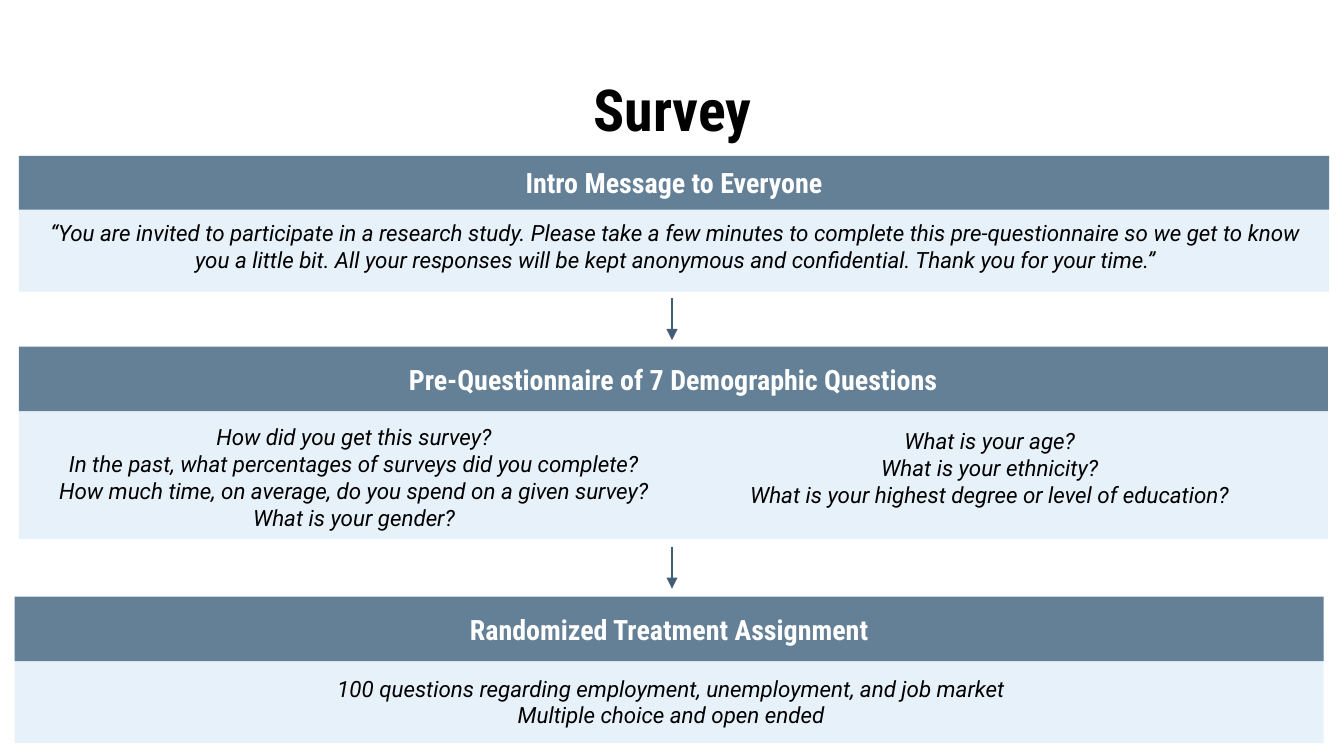
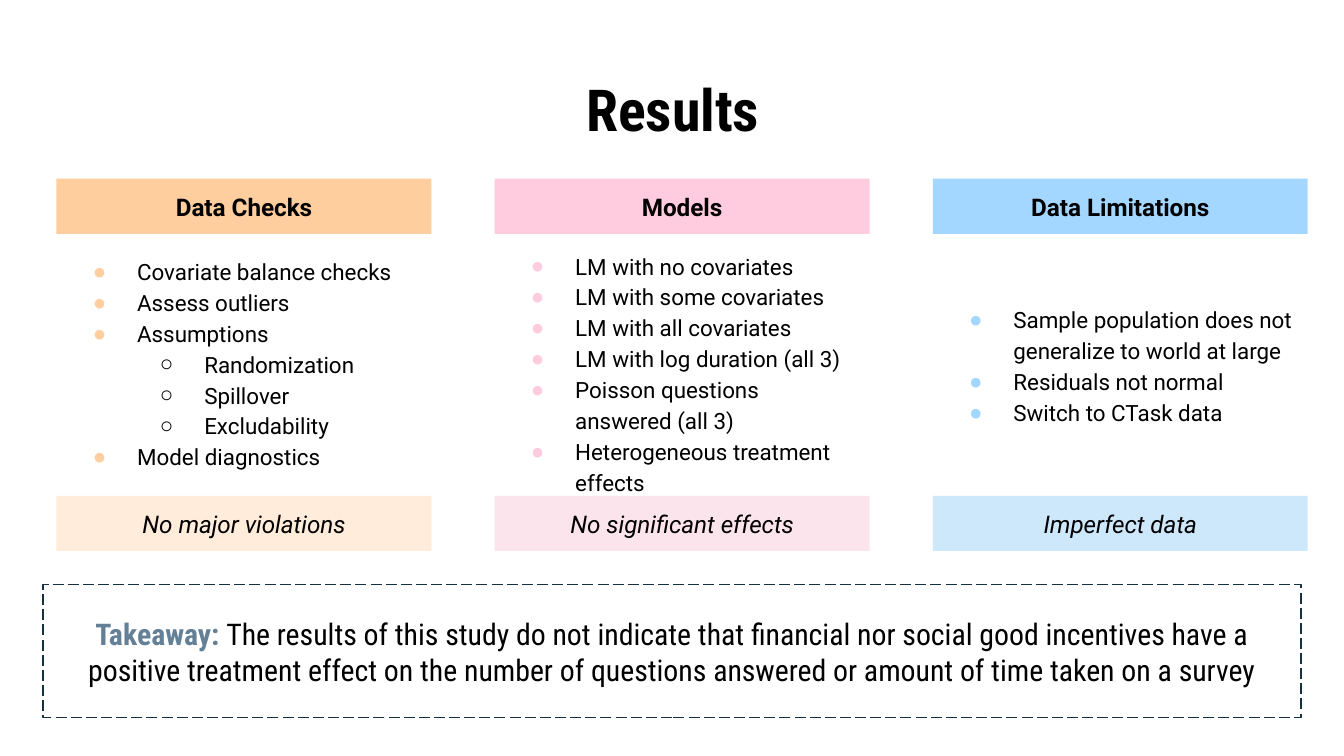
from dataclasses import dataclass
from typing import NamedTuple

from lxml import etree
from pptx import Presentation
from pptx.dml.color import RGBColor
from pptx.enum.dml import MSO_LINE
from pptx.enum.shapes import MSO_CONNECTOR, MSO_SHAPE
from pptx.enum.text import MSO_ANCHOR, MSO_AUTO_SIZE, PP_ALIGN
from pptx.oxml.ns import qn
from pptx.util import Inches, Pt

CENTER, LEFT = PP_ALIGN.CENTER, PP_ALIGN.LEFT
TOP, MIDDLE = MSO_ANCHOR.TOP, MSO_ANCHOR.MIDDLE
NO_FIT = MSO_AUTO_SIZE.NONE
RECT = MSO_SHAPE.RECTANGLE
STRAIGHT = MSO_CONNECTOR.STRAIGHT
LONG_DASH = MSO_LINE.LONG_DASH

WIDTH = Inches(10)
HEIGHT = WIDTH * 9 // 16
TITLE_ONLY, COMPARE = 5, 4
SANS, NARROW = "Roboto", "Roboto Condensed"
BLACK, WHITE = "000000", "FFFFFF"
STEEL, PALE, SLATE, NAVY = "638097", "E7F1F9", "435D74", "153041"
INSET = Inches(0.1)
HANG = 0.33


class Box(NamedTuple):
    left: float
    top: float
    width: float
    height: float


class Note(NamedTuple):
    box: Box
    lines: list[str]


@dataclass
class Step:
    head: str
    band: Box
    panel: Box
    notes: list[Note]


class Item(NamedTuple):
    text: str
    level: int = 0


@dataclass
class Column:
    head: str
    color: str
    tint: str
    verdict: str
    top: float
    height: float
    items: list[Item]


STEPS = [
    Step("Intro Message to Everyone", Box(0.14, 1.16, 9.75, 0.4), Box(0.14, 1.16, 9.75, 1.01), [
        Note(Box(0.22, 1.53, 9.62, 0.61), [
            "“You are invited to participate in a research study. Please take a few minutes "
            "to complete this pre-questionnaire so we get to know you a little bit. All your "
            "responses will be kept anonymous and confidential. Thank you for your time.”"]),
    ]),
    Step("Pre-Questionnaire of 7 Demographic Questions",
         Box(0.14, 2.58, 9.74, 0.48), Box(0.14, 3, 9.74, 1.01), [
             Note(Box(0.27, 3.05, 4.73, 1.01), [
                 "How did you get this survey?",
                 "In the past, what percentages of surveys did you complete?",
                 "How much time, on average, do you spend on a given survey?",
                 "What is your gender?"]),
             Note(Box(5, 3.08, 4.73, 0.81), [
                 "What is your age?",
                 "What is your ethnicity?",
                 "What is your highest degree or level of education?"]),
         ]),
    Step("Randomized Treatment Assignment",
         Box(0.11, 4.44, 9.74, 0.48), Box(0.11, 4.72, 9.74, 0.81), [
             Note(Box(0.27, 4.92, 9.45, 0.61), [
                 "100 questions regarding employment, unemployment, and job market",
                 "Multiple choice and open ended"]),
         ]),
]
ARROW_TOPS, ARROW_LENGTH = (2.22, 4.07), 0.31

COLUMNS = [
    Column("Data Checks", "FFCE9E", "FFECDA", "No major violations", 1.79, 1.84, [
        Item("Covariate balance checks"), Item("Assess outliers"), Item("Assumptions"),
        Item("Randomization", 1), Item("Spillover", 1), Item("Excludability", 1),
        Item("Model diagnostics")]),
    Column("Models", "FFCBDE", "FCE4ED", "No significant effects", 1.75, 1.9, [
        Item("LM with no covariates"), Item("LM with some covariates"),
        Item("LM with all covariates"), Item("LM with log duration (all 3)"),
        Item("Poisson questions answered (all 3)"),
        Item("Heterogeneous treatment effects")]),
    Column("Data Limitations", "A3D7FF", "CDE7FB", "Imperfect data", 2.15, 1.09, [
        Item("Sample population does not generalize to world at large"),
        Item("Residuals not normal"), Item("Switch to CTask data")]),
]
COL_LEFT, COL_STEP, COL_WIDTH = 0.42, 3.26, 2.79
HEAD_TOP, VERDICT_TOP, LABEL_HEIGHT = 1.33, 3.69, 0.41


def rgb(code: str) -> RGBColor:
    return RGBColor.from_string(code)


def place(shape, box: Box) -> None:
    shape.left, shape.top, shape.width, shape.height = map(Inches, box)


def add_run(para, text: str, *, size=12, font=SANS, color=BLACK, bold=False, italic=False) -> None:
    run = para.add_run()
    run.text = text
    run.font.size, run.font.name = Pt(size), font
    run.font.bold, run.font.italic = bold, italic
    run.font.color.rgb = rgb(color)


def write(shape, lines: list[str], *, align=CENTER, anchor=TOP, spacing=1.0, **style) -> list:
    """Set one paragraph per line and return the paragraphs."""
    frame = shape.text_frame
    frame.word_wrap, frame.auto_size = True, NO_FIT
    frame.vertical_anchor = anchor
    frame.margin_left = frame.margin_right = INSET
    frame.margin_top = frame.margin_bottom = INSET
    paras = [frame.paragraphs[0]] + [frame.add_paragraph() for _ in lines[1:]]
    for para, line in zip(paras, lines):
        para.alignment, para.line_spacing = align, spacing
        para.space_before = para.space_after = Pt(0)
        if line:
            add_run(para, line, **style)
    return paras


def add_rect(slide, box: Box, fill: str | None = None):
    shape = slide.shapes.add_shape(RECT, *map(Inches, box))
    shape.shadow.inherit = False
    shape.line.fill.background()
    if fill:
        shape.fill.solid()
        shape.fill.fore_color.rgb = rgb(fill)
    else:
        shape.fill.background()
    return shape


def add_arrow(slide, x: float, top: float, length: float) -> None:
    arrow = slide.shapes.add_connector(
        STRAIGHT, Inches(x), Inches(top), Inches(x), Inches(top + length))
    arrow.line.color.rgb = rgb(SLATE)
    arrow.line.width = Pt(0.75)
    etree.SubElement(arrow.line._get_or_add_ln(), qn("a:tailEnd"), type="triangle")
    etree.SubElement(arrow._element.spPr, qn("a:effectLst"))


def add_bullet(para, level: int, color: str) -> None:
    para.level = level
    props = para._p.get_or_add_pPr()
    props.set("marL", str(Inches(0.5 * (level + 1))))
    props.set("indent", str(-Inches(HANG)))
    tone = etree.SubElement(props, qn("a:buClr"))
    etree.SubElement(tone, qn("a:srgbClr"), val=BLACK if level else color)
    etree.SubElement(props, qn("a:buChar"), char="○" if level else "●")


def add_slide(deck, layout: int, title: str):
    slide = deck.slides.add_slide(deck.slide_layouts[layout])
    place(slide.shapes.title, Box(0.5, 0.45, 9.01, 0.62))
    write(slide.shapes.title, [title], size=31, font=NARROW, bold=True)
    return slide


def add_survey(deck) -> None:
    slide = add_slide(deck, TITLE_ONLY, "Survey")
    for step in STEPS:
        add_rect(slide, step.panel, PALE)
        band = add_rect(slide, step.band, STEEL)
        write(band, [step.head], anchor=MIDDLE, size=15, font=NARROW, color=WHITE, bold=True)
        for note in step.notes:
            text = slide.shapes.add_textbox(*map(Inches, note.box))
            write(text, note.lines, italic=True)
    for top in ARROW_TOPS:
        add_arrow(slide, 5, top, ARROW_LENGTH)


def add_column(slide, body, left: float, col: Column) -> None:
    head = add_rect(slide, Box(left, HEAD_TOP, COL_WIDTH, LABEL_HEIGHT), col.color)
    write(head, [col.head], size=13, bold=True)
    place(body, Box(left, col.top, COL_WIDTH, col.height))
    paras = write(body, [item.text for item in col.items], align=LEFT, spacing=1.15)
    for para, item in zip(paras, col.items):
        add_bullet(para, item.level, col.color)
    verdict = add_rect(slide, Box(left, VERDICT_TOP, COL_WIDTH, LABEL_HEIGHT), col.tint)
    write(verdict, [col.verdict], size=13, italic=True)


def add_results(deck) -> None:
    slide = add_slide(deck, COMPARE, "Results")
    bodies = [slide.placeholders[idx] for idx in (1, 2, 3)]
    spare = slide.placeholders[4]._element
    spare.getparent().remove(spare)
    for i, (body, col) in enumerate(zip(bodies, COLUMNS)):
        add_column(slide, body, COL_LEFT + i * COL_STEP, col)

    frame = add_rect(slide, Box(0.32, 4.35, 9.36, 0.99))
    frame.line.color.rgb = rgb(NAVY)
    frame.line.width = Pt(0.75)
    frame.line.dash_style = LONG_DASH
    para = write(frame, [""], anchor=MIDDLE)[0]
    add_run(para, "Takeaway: ", size=16, font=NARROW, color=STEEL, bold=True)
    add_run(para, "The results of this study do not indicate that financial nor social good "
                  "incentives have a positive treatment effect on the number of questions "
                  "answered or amount of time taken on a survey", size=16, font=NARROW)


def main() -> None:
    deck = Presentation()
    deck.slide_width, deck.slide_height = WIDTH, HEIGHT
    add_survey(deck)
    add_results(deck)
    deck.save("out.pptx")


if __name__ == "__main__":
    main()
